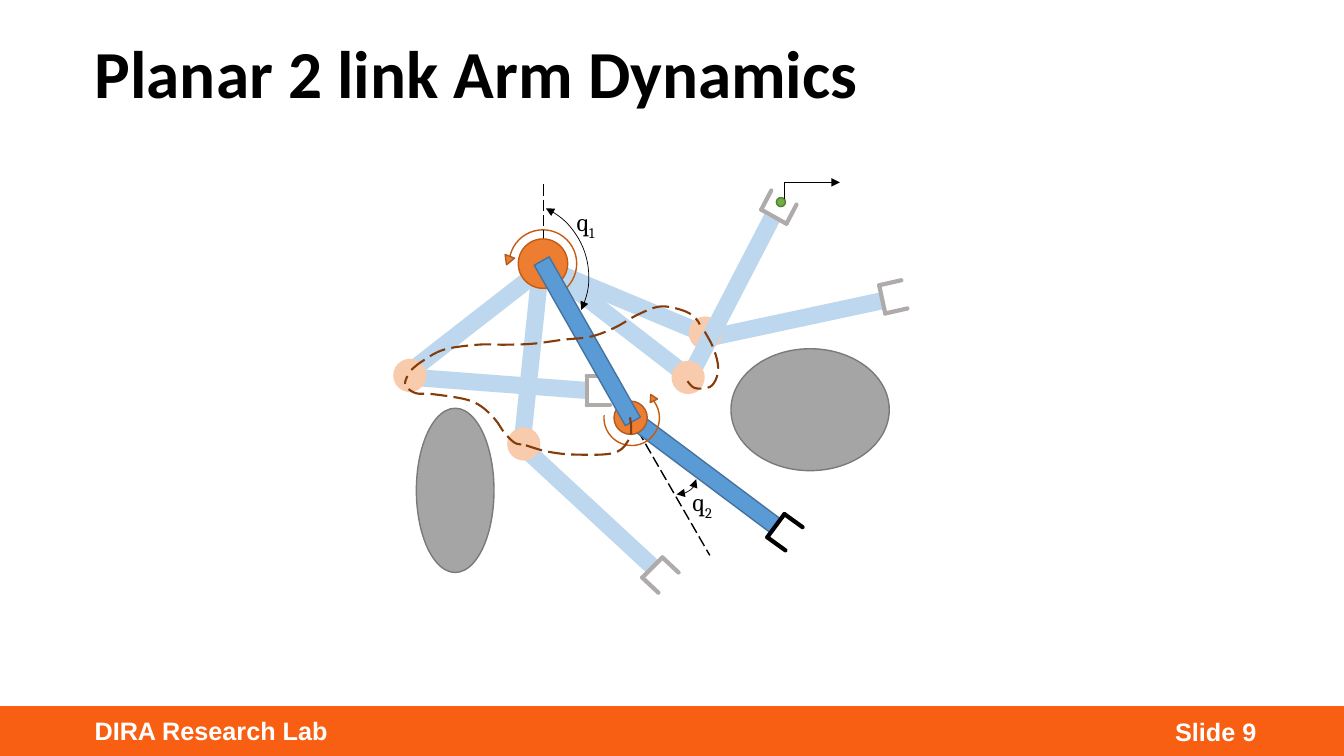
from lxml import etree
from pptx import Presentation
from pptx import util as u
from pptx.dml.color import RGBColor
from pptx.enum import dml, shapes, text
from pptx.oxml.ns import qn

BLACK = RGBColor(0x00, 0x00, 0x00)
WHITE = RGBColor(0xFF, 0xFF, 0xFF)
BAR_ORANGE = RGBColor(0xF8, 0x5F, 0x12)
ORANGE = RGBColor(0xED, 0x7D, 0x31)
DARK_ORANGE = RGBColor(0xC5, 0x5A, 0x11)
RUST = RGBColor(0xAF, 0x5C, 0x24)
PEACH = RGBColor(0xF8, 0xCB, 0xAD)
BLUE = RGBColor(0x5B, 0x9B, 0xD5)
DARK_BLUE = RGBColor(0x43, 0x73, 0x9E)
PALE_BLUE = RGBColor(0xBD, 0xD7, 0xEE)
GRAY = RGBColor(0xA5, 0xA5, 0xA5)
DARK_GRAY = RGBColor(0x7A, 0x7A, 0x7A)
GRIP_GRAY = RGBColor(0xAF, 0xAB, 0xAB)
GREEN = RGBColor(0x70, 0xAD, 0x47)
DARK_GREEN = RGBColor(0x53, 0x80, 0x35)
BROWN = RGBColor(0x84, 0x3C, 0x0B)

RECT = shapes.MSO_SHAPE.RECTANGLE
OVAL = shapes.MSO_SHAPE.OVAL
TRIANGLE = shapes.MSO_SHAPE.ISOSCELES_TRIANGLE
ARC = shapes.MSO_SHAPE.ARC
STRAIGHT = shapes.MSO_CONNECTOR.STRAIGHT
ELBOW = shapes.MSO_CONNECTOR.ELBOW

# Points the elbow passes through, one list per dashed stretch
ELBOW_PATHS = [
    [(6.25, 4.14), (6.25, 4.33), (6.1, 4.49), (5.71, 4.51), (5.43, 4.48), (5.19, 4.41)],
    [(5.17, 4.41), (5.1, 4.39), (5, 4.29), (4.91, 4.16), (4.77, 4.03), (4.61, 3.96),
     (4.29, 3.91), (4.12, 3.9), (4.02, 3.82), (4.04, 3.73)],
    [(6.99, 3.29), (7.07, 3.44), (7.12, 3.61), (7.11, 3.74), (7.04, 3.84),
     (6.89, 3.85), (6.81, 3.77)],
    [(4.08, 3.67), (4.18, 3.59), (4.4, 3.47), (4.74, 3.42), (5.01, 3.42), (5.29, 3.41),
     (5.59, 3.37), (5.86, 3.34), (6.1, 3.25), (6.33, 3.12), (6.56, 3.04), (6.8, 3.09),
     (6.91, 3.17), (6.94, 3.22)],
]


def style_line(sp, color, width, dashed=False):
    sp.line.color.rgb = color
    sp.line.width = u.Pt(width)
    if dashed:
        sp.line.dash_style = dml.MSO_LINE.LONG_DASH


def add_arrowheads(sp, *ends):
    ln = sp._element.spPr.get_or_add_ln()
    for end in ends:
        etree.SubElement(ln, qn(f"a:{end}")).set("type", "triangle")


def add_shape(parent, kind, x, y, w, h, fill=None, line=None, rot=0, width=1):
    sp = parent.add_shape(kind, u.Inches(x), u.Inches(y), u.Inches(w), u.Inches(h))
    sp.rotation = rot
    sp.shadow.inherit = False
    if fill is None:
        sp.fill.background()
    else:
        sp.fill.solid()
        sp.fill.fore_color.rgb = fill
    if line is None:
        sp.line.fill.background()
    else:
        style_line(sp, line, width)
    return sp


def add_line(parent, start, end, color, width, dashed=False, kind=STRAIGHT):
    cx = parent.add_connector(kind, *(u.Inches(v) for v in (*start, *end)))
    style_line(cx, color, width, dashed)
    etree.SubElement(cx._element.spPr, qn("a:effectLst"))
    return cx


def add_text(parent, x, y, w, h, runs, size, font, color, bold=False,
             align=text.PP_ALIGN.LEFT, wrap=False):
    """runs is a list of (wording, is_subscript)."""
    tf = parent.add_textbox(u.Inches(x), u.Inches(y), u.Inches(w), u.Inches(h)).text_frame
    tf.word_wrap = wrap
    if wrap:
        tf.vertical_anchor = text.MSO_ANCHOR.MIDDLE
    else:
        tf.auto_size = text.MSO_AUTO_SIZE.SHAPE_TO_FIT_TEXT
    p = tf.paragraphs[0]
    p.alignment = align
    for wording, subscript in runs:
        r = p.add_run()
        r.text = wording
        r.font.size = u.Pt(size)
        r.font.name = font
        r.font.bold = bold
        r.font.color.rgb = color
        if subscript:
            r._r.get_or_add_rPr().set("baseline", "-25000")


def add_link(parent, x, y, rot, fill=PALE_BLUE, line=None):
    add_shape(parent, RECT, x, y, 0.17, 1.83, fill, line, rot)


def add_joint(parent, x, y, fill=PEACH, line=None, rot=28.5):
    add_shape(parent, OVAL, x, y, 0.33, 0.33, fill, line, rot)


def add_gripper(parent, a, b, finger, color=GRIP_GRAY):
    """Base from a to b, and a finger along the given vector ending at each end."""
    fingers = [((c[0] + finger[0], c[1] + finger[1]), c) for c in (a, b)]
    for start, end in [(a, b), *fingers]:
        cx = add_line(parent, start, end, color, 3)
        cx._element.spPr.get_or_add_ln().set("cap", "rnd")


def add_angle(parent, x, y, w, h, rot, index, label_x, label_y):
    arc = add_shape(parent, ARC, x, y, w, h, None, BLACK, rot, 0.5)
    add_arrowheads(arc, "headEnd", "tailEnd")
    add_text(parent, label_x, label_y, 0.43, 0.4, [("q", False), (index, True)],
             18, "Cambria", BLACK)


def round_off(sp):
    """Turn the straight segments of a freeform into a smooth Bézier curve."""
    geometry = sp._element.spPr.find(qn("a:custGeom"))
    pts = [(int(pt.get("x")), int(pt.get("y"))) for pt in geometry.iter(qn("a:pt"))]
    padded = [pts[0], *pts, pts[-1]]
    segments = list(geometry.iter(qn("a:lnTo")))
    for seg, p0, p1, p2, p3 in zip(segments, padded, padded[1:], padded[2:], padded[3:]):
        seg.tag = qn("a:cubicBezTo")
        leaving = [b + (c - a) / 6 for a, b, c in zip(p0, p1, p2)]
        arriving = [c - (d - b) / 6 for b, c, d in zip(p1, p2, p3)]
        for i, (x, y) in enumerate((leaving, arriving)):
            control = etree.Element(qn("a:pt"), x=str(round(x)), y=str(round(y)))
            seg.insert(i, control)


def add_elbow_path(parent, points):
    corners = [(u.Inches(x), u.Inches(y)) for x, y in points]
    builder = parent.build_freeform(*corners[0])
    builder.add_line_segments(corners[1:], close=False)
    sp = builder.convert_to_shape()
    round_off(sp)
    sp.shadow.inherit = False
    sp.fill.background()
    style_line(sp, BROWN, 1.5, dashed=True)


def draw_arm(arm):
    for x, y, rot in ((6.09, 2.06, 292.6), (5.99, 2.24, 307.7), (7.77, 2.26, 257.9)):
        add_link(arm, x, y, rot)
    # Shoulder torque arrow
    add_shape(arm, OVAL, 5.05, 2.28, 0.67, 0.67, None, DARK_ORANGE, 210.1)
    add_shape(arm, RECT, 4.93, 2.71, 0.67, 0.21, WHITE, WHITE, 210.1)
    add_shape(arm, TRIANGLE, 4.99, 2.54, 0.1, 0.09, ORANGE, RUST, 201.2)

    add_link(arm, 5.71, 4.08, 312.8)
    add_link(arm, 5.19, 2.57, 6)
    add_joint(arm, 5.03, 4.24)
    add_line(arm, (6.25, 4.14), (7.04, 5.51), BLACK, 1, dashed=True)
    add_link(arm, 6.87, 3.75, 306.8, BLUE, DARK_BLUE)
    add_shape(arm, OVAL, 5.99, 3.87, 0.55, 0.55, None, DARK_ORANGE, 342.2)
    add_angle(arm, 6.56, 4.56, 0.3, 0.39, 90, "2", 6.77, 4.78)
    add_angle(arm, 4.33, 1.99, 1.51, 1.51, 25.9, "1", 5.62, 2)
    add_line(arm, (5.39, 1.83), (5.39, 2.69), BLACK, 1, dashed=True)
    add_gripper(arm, (7.61, 5.33), (7.78, 5.1), (0.18, 0.13), BLACK)
    add_shape(arm, OVAL, 7.25, 3.46, 1.57, 1.21, GRAY, DARK_GRAY)
    # Elbow torque arrow
    add_shape(arm, RECT, 5.93, 3.87, 0.55, 0.17, WHITE, WHITE, 342.2)
    add_shape(arm, TRIANGLE, 6.43, 3.91, 0.08, 0.07, ORANGE, RUST, 333.3)

    add_link(arm, 4.83, 2.89, 274.3)
    add_gripper(arm, (6.37, 5.73), (6.57, 5.53), (0.16, 0.15))
    add_gripper(arm, (5.82, 4.02), (5.82, 3.73), (0.23, 0))
    add_joint(arm, 6.09, 3.98, ORANGE, RUST, 0)
    add_joint(arm, 6.83, 3.14)
    add_link(arm, 7.15, 2.06, 207.4)
    add_joint(arm, 6.66, 3.58)
    add_gripper(arm, (8.78, 3.11), (8.72, 2.83), (0.22, -0.05))
    add_gripper(arm, (7.8, 2.22), (7.55, 2.08), (0.1, -0.19))
    add_shape(arm, OVAL, 4.13, 4.05, 0.77, 1.63, GRAY, DARK_GRAY)
    add_shape(arm, OVAL, 7.7, 1.96, 0.09, 0.09, GREEN, DARK_GREEN)
    pointer = add_line(arm, (8.33, 1.81), (7.78, 1.97), BLACK, 0.5, kind=ELBOW)
    pointer._element.spPr.find(qn("a:prstGeom")).set("prst", "bentConnector2")
    add_arrowheads(pointer, "headEnd")

    add_link(arm, 4.64, 2.26, 52.1)
    add_shape(arm, OVAL, 5.14, 2.37, 0.49, 0.49, ORANGE, DARK_ORANGE)
    add_link(arm, 5.74, 2.47, 330.4, BLUE, DARK_BLUE)
    add_joint(arm, 3.9, 3.56)
    for points in ELBOW_PATHS:
        add_elbow_path(arm, points)


def main():
    prs = Presentation()
    prs.slide_width, prs.slide_height = u.Inches(13.33), u.Inches(7.5)
    s = prs.slides.add_slide(prs.slide_layouts[6])
    add_shape(s.shapes, RECT, 0, 7.01, 13.33, 0.49, BAR_ORANGE, BAR_ORANGE)
    add_text(s.shapes, 9.56, 7.06, 3, 0.4, [("Slide 9", False)], 18, "Arial", WHITE,
             True, text.PP_ALIGN.RIGHT, wrap=True)
    add_text(s.shapes, 0.84, 0.26, 7.85, 1.21, [("Planar 2 link Arm Dynamics", False)],
             48, "Calibri", BLACK, True)
    add_text(s.shapes, 0.84, 7.05, 2.53, 0.4, [("DIRA Research Lab", False)],
             18, "Arial", WHITE, True)
    draw_arm(s.shapes.add_group_shape().shapes)
    prs.save("out.pptx")


if __name__ == "__main__":
    main()
